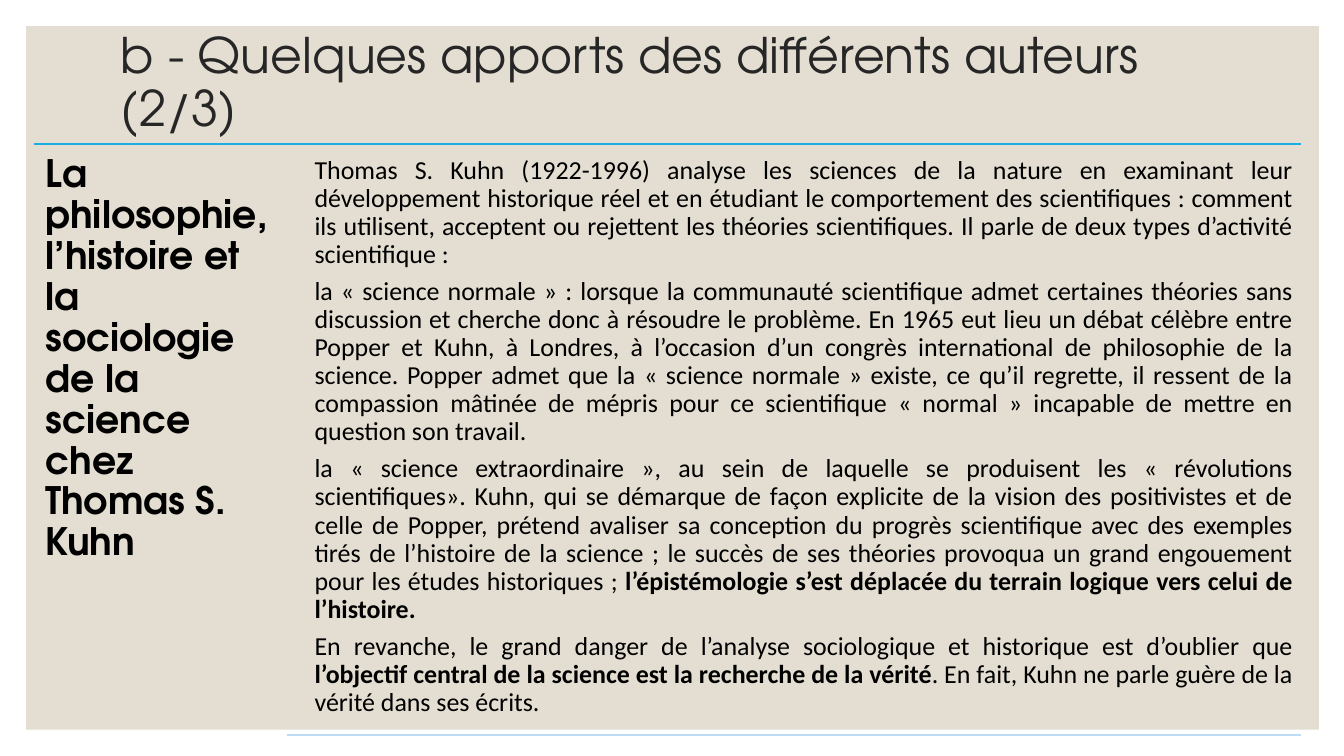
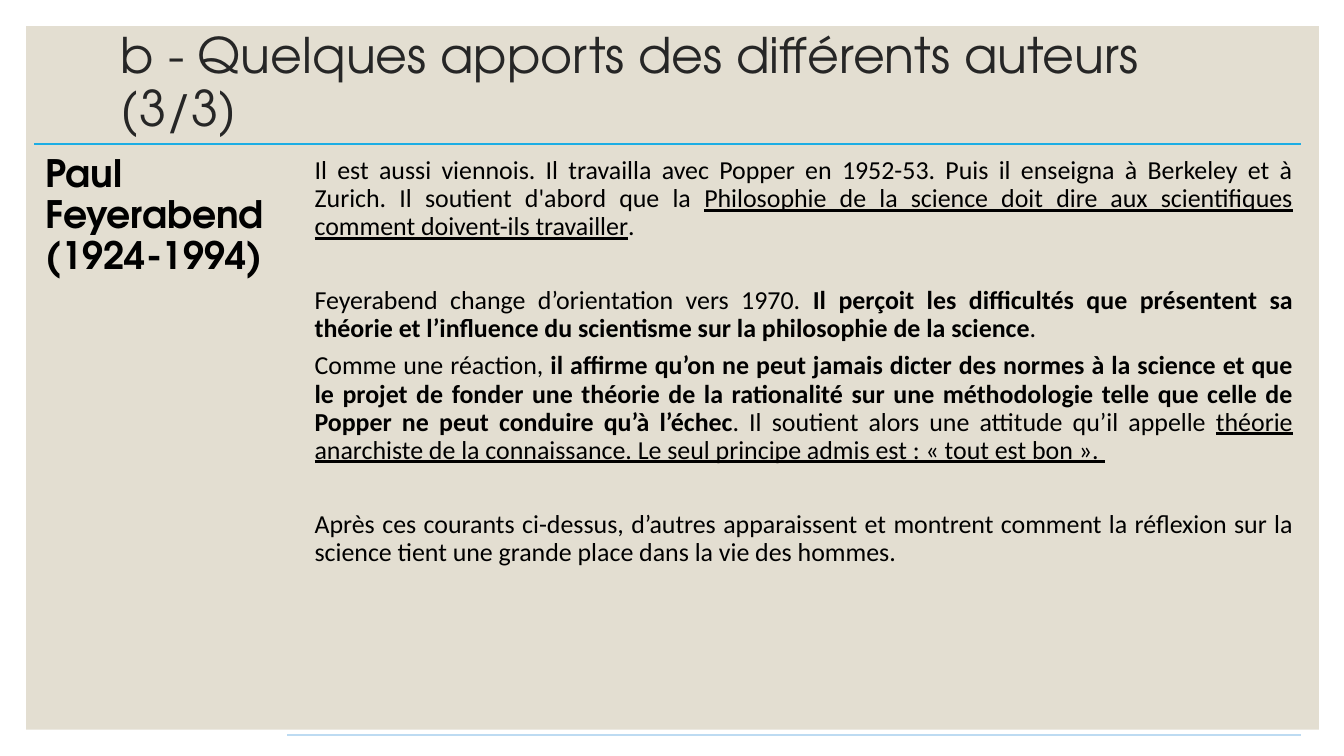
from pptx import Presentation
from pptx.dml.color import RGBColor
from pptx.enum import shapes, text
from pptx.oxml.ns import qn
from pptx.util import Inches, Pt

# Shared look
HEADING, BODY = "TeX Gyre Adventor", "Calibri"
PANEL, RULE, PALE_RULE = "E3DED1", "1CADE4", "BDDBF2"
TITLE_INK, INK = "262626", "000000"
LEFT, COLUMN, RIGHT = 0.34, 2.85, 12.9
GAP, WIDE_GAP = 6.5, 33
TITLE = "b - Quelques apports des différents auteurs"

# Content: a run is plain text or (text, style), with b for bold and u for underline;
# a paragraph is (runs, space after)
KUHN = [
    (["Thomas S. Kuhn (1922-1996) analyse les sciences de la nature en examinant leur "
      "développement historique réel et en étudiant le comportement des scientifiques : "
      "comment ils utilisent, acceptent ou rejettent les théories scientifiques. Il parle "
      "de deux types d’activité scientifique : "], GAP),
    (["la « science normale » : lorsque la communauté scientifique admet certaines théories "
      "sans discussion et cherche donc à résoudre le problème. En 1965 eut lieu un débat "
      "célèbre entre Popper et Kuhn, à Londres, à l’occasion d’un congrès international de "
      "philosophie de la science. Popper admet que la « science normale » existe, ce qu’il "
      "regrette, il ressent de la compassion mâtinée de mépris pour ce scientifique "
      "« normal » incapable de mettre en question son travail."], GAP),
    (["la « science extraordinaire », au sein de laquelle se produisent les « révolutions "
      "scientifiques». Kuhn, qui se démarque de façon explicite de la vision des "
      "positivistes et de celle de Popper, prétend avaliser sa conception du progrès "
      "scientifique avec des exemples tirés de l’histoire de la science ; le succès de ses "
      "théories provoqua un grand engouement pour les études historiques ; ",
      ("l’épistémologie s’est déplacée du terrain logique vers celui de l’histoire.", "b")],
     GAP),
    (["En revanche, le grand danger de l’analyse sociologique et historique est d’oublier "
      "que ",
      ("l’objectif central de la science est la recherche de la vérité", "b"),
      ". En fait, Kuhn ne parle guère de la vérité dans ses écrits."], GAP),
]
FEYERABEND = [
    (["Il est aussi viennois. Il travailla avec Popper en 1952-53. Puis il enseigna à "
      "Berkeley et à Zurich. Il soutient d'abord que la ",
      ("Philosophie de la science doit dire aux scientifiques comment doivent-ils "
       "travailler", "u"), ". "], WIDE_GAP),
    (["Feyerabend change d’orientation vers 1970. ",
      ("Il perçoit les difficultés que présentent sa théorie et l’influence du scientisme "
       "sur la philosophie de la science", "b"), "."], GAP),
    (["Comme une réaction, ",
      ("il affirme qu’on ne peut jamais dicter des normes à la science et que le projet de "
       "fonder une théorie de la rationalité sur une méthodologie telle que celle de Popper "
       "ne peut conduire qu’à l’échec", "b"),
      ". Il soutient alors une attitude qu’il appelle ",
      ("théorie anarchiste de la connaissance. Le seul principe admis est : « tout est "
       "bon ». ", "u")], WIDE_GAP),
    (["Après ces courants ci-dessus, d’autres apparaissent et montrent comment la réflexion "
      "sur la science tient une grande place dans la vie des hommes. "], GAP),
]


def color(value):
    return RGBColor.from_string(value)


def place(sp, left, top, width, height):
    sp.left, sp.top = Inches(left), Inches(top)
    sp.width, sp.height = Inches(width), Inches(height)


def add_panel(s):
    sp = s.shapes.add_shape(shapes.MSO_SHAPE.RECTANGLE, Inches(0.26), Inches(0.26),
                            Inches(12.82), Inches(6.98))
    sp.shadow.inherit = False
    sp.fill.solid()
    sp.fill.fore_color.rgb = color(PANEL)
    sp.line.fill.background()
    return sp


def add_rule(s, left, y, line_color):
    line = s.shapes.add_connector(shapes.MSO_CONNECTOR.STRAIGHT, Inches(left), Inches(y),
                                  Inches(RIGHT), Inches(y))
    line.line.color.rgb = color(line_color)
    line.line.width = Pt(1)
    sp_pr = line._element.spPr
    sp_pr.append(sp_pr.makeelement(qn("a:effectLst"), {}))
    return line


def set_up_layout(layout, s):
    """Put the placeholders and the shared decoration on the layout."""
    title, heading, body = list(layout.placeholders)[:3]
    place(title, 1.1, 0.08, 11, 1.5)
    place(heading, LEFT, 1.43, COLUMN - LEFT, 5.98)
    place(body, 3.04, 1.48, RIGHT - 3.04, 5.43)
    decoration = [add_panel(s), add_rule(s, LEFT, 1.43, RULE),
                  add_rule(s, COLUMN, 7.29, PALE_RULE)]
    tree = layout.shapes._spTree
    for i, sp in enumerate(decoration):
        sp._element.xpath(".//p:cNvPr")[0].set("id", str(20 + i))
        tree.insert(2 + i, sp._element)


def write(sp, paragraphs, font=BODY, size=18.5, ink=INK, bold=False,
          align=text.PP_ALIGN.LEFT, anchor=text.MSO_ANCHOR.TOP, inset=0.1):
    tf = sp.text_frame
    tf.word_wrap = True
    tf.auto_size = text.MSO_AUTO_SIZE.NONE
    tf.vertical_anchor = anchor
    tf.margin_left = tf.margin_right = tf.margin_top = tf.margin_bottom = Inches(inset)
    for i, (runs, after) in enumerate(paragraphs):
        p = tf.add_paragraph() if i else tf.paragraphs[0]
        p_pr = p._p.get_or_add_pPr()
        p_pr.set("marL", "0")
        p_pr.set("indent", "0")
        p_pr.append(p_pr.makeelement(qn("a:buNone"), {}))
        p.alignment, p.line_spacing = align, 0.9
        p.space_before, p.space_after = Pt(0), Pt(after)
        for run in runs:
            content, style = (run, "") if isinstance(run, str) else run
            r = p.add_run()
            r.text = content
            r.font.name, r.font.size = font, Pt(size)
            r.font.color.rgb = color(ink)
            r.font.bold = bold or style == "b"
            r.font.underline = style == "u"


def fill_slide(s, number, heading, paragraphs):
    title, side, body = s.placeholders
    write(title, [([TITLE], 0), ([number], 0)], font=HEADING, size=35, ink=TITLE_INK,
          anchor=text.MSO_ANCHOR.MIDDLE)
    write(side, [([heading], GAP)], font=HEADING, size=27, bold=True, inset=0.11)
    write(body, paragraphs, align=text.PP_ALIGN.JUSTIFY, inset=0.08)


def main():
    prs = Presentation()
    prs.slide_width, prs.slide_height = Inches(13.33), Inches(7.5)
    layout = prs.slide_layouts[3]
    kuhn, feyerabend = [prs.slides.add_slide(layout) for _ in range(2)]
    set_up_layout(layout, kuhn)
    fill_slide(kuhn, "(2/3)", "La philosophie, l’histoire et la sociologie de la science "
               "chez Thomas S. Kuhn", KUHN)
    fill_slide(feyerabend, "(3/3)", "Paul Feyerabend (1924-1994)", FEYERABEND)
    prs.save("out.pptx")


if __name__ == "__main__":
    main()
